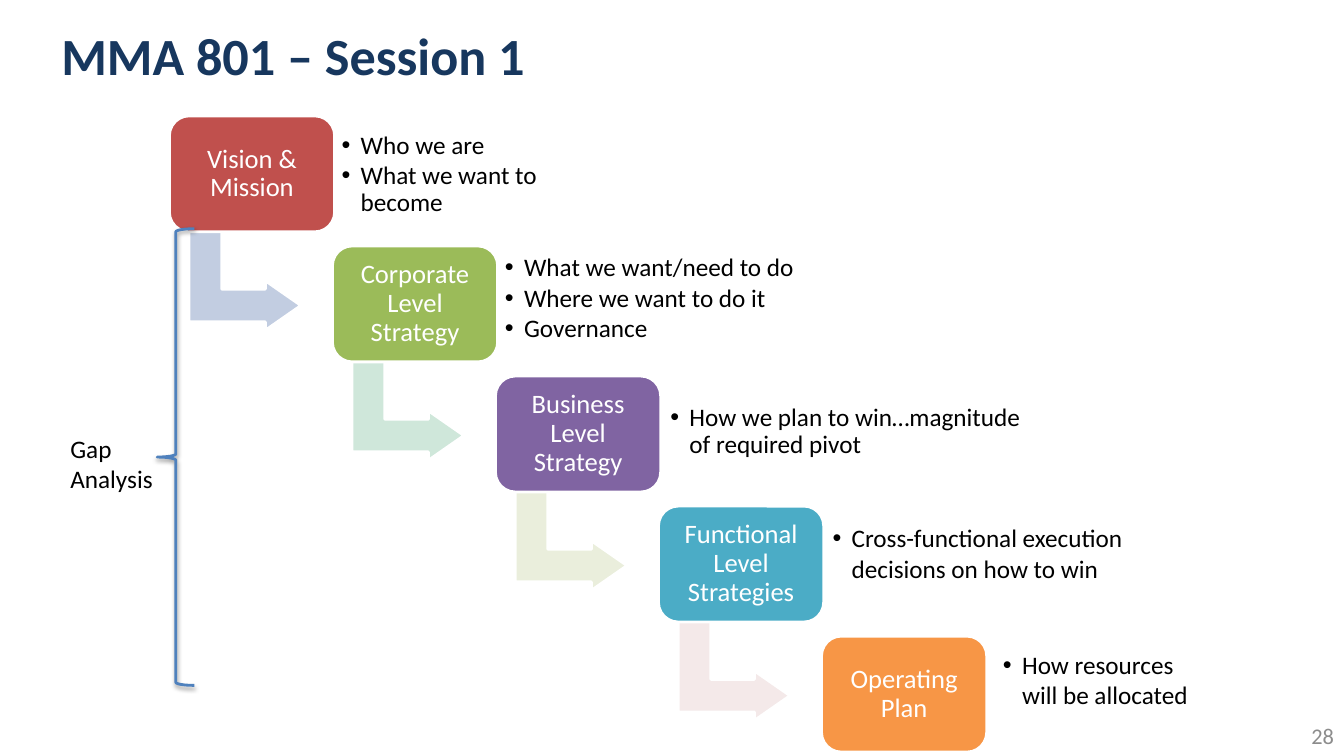
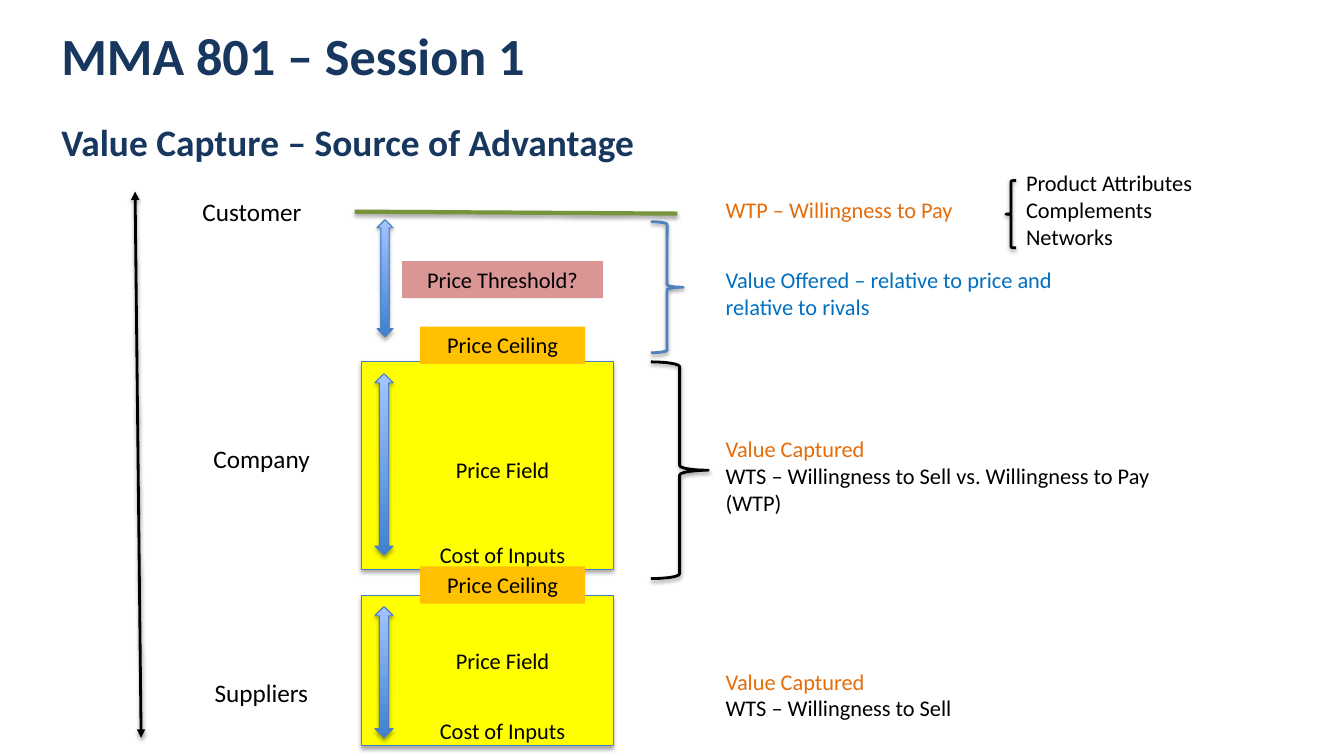
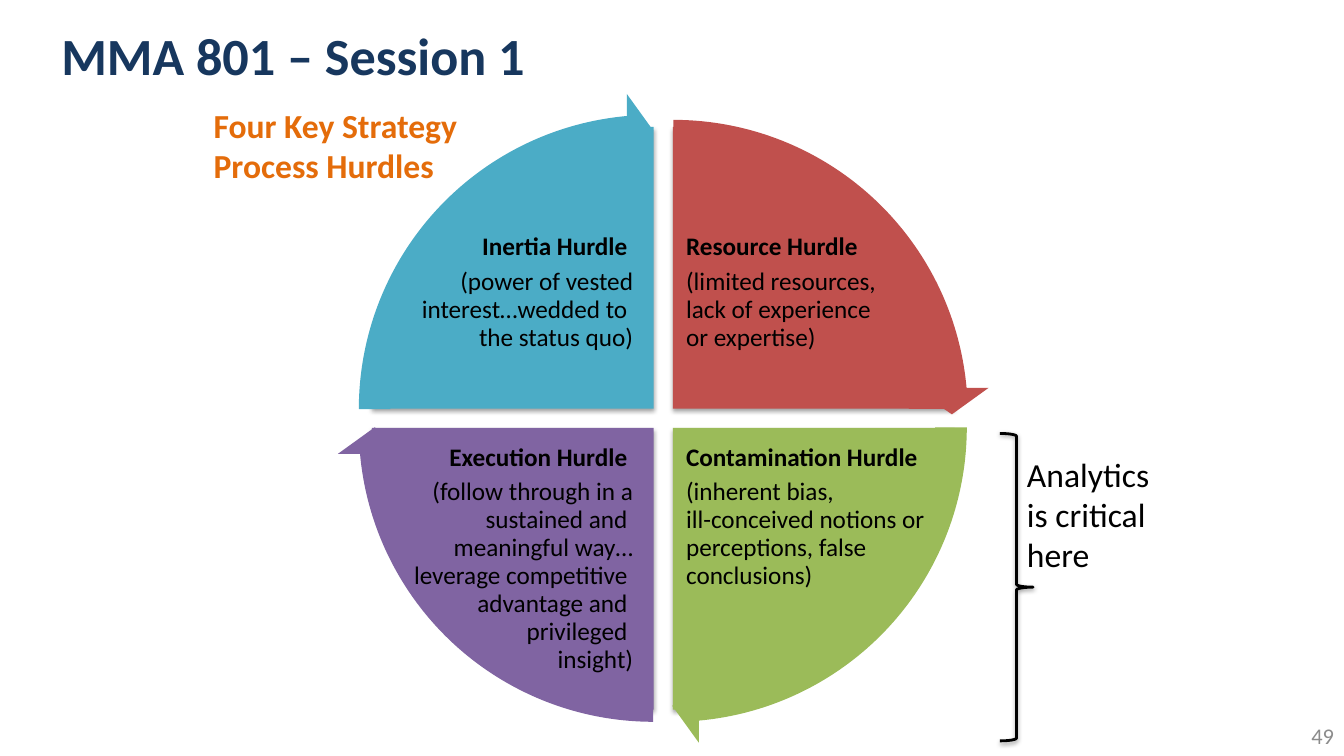
from lxml import etree
from pptx import Presentation
from pptx.dml.color import RGBColor
from pptx.enum.shapes import MSO_CONNECTOR, MSO_SHAPE
from pptx.enum.text import MSO_ANCHOR, PP_ALIGN
from pptx.oxml import parse_xml
from pptx.oxml.ns import nsdecls, qn
from pptx.util import Pt

LEFT, MID, RIGHT = PP_ALIGN.LEFT, PP_ALIGN.CENTER, PP_ALIGN.RIGHT
TOP, CENTER = MSO_ANCHOR.TOP, MSO_ANCHOR.MIDDLE
RECT, ROUND = MSO_SHAPE.RECTANGLE, MSO_SHAPE.ROUNDED_RECTANGLE
BEND, ARROW = MSO_SHAPE.BENT_UP_ARROW, MSO_SHAPE.UP_DOWN_ARROW
OPEN, CLOSE = MSO_SHAPE.LEFT_BRACE, MSO_SHAPE.RIGHT_BRACE
PIE, CURVE = MSO_SHAPE.PIE, MSO_SHAPE.CIRCULAR_ARROW
STRAIGHT = MSO_CONNECTOR.STRAIGHT

BLACK, WHITE, NAVY, GREY = "000000", "FFFFFF", "17375E", "8C8C8C"
ORANGE, BLUE, SKY, EDGE = "E46C0A", "4F81BD", "0070C0", "4B7EBC"
RED, GREEN, PURPLE, TEAL = "C0504D", "9BBB59", "8064A2", "4BACC6"
PEACH, GOLD, YELLOW, PINK = "F79646", "FFC000", "FFFF00", "D99694"
OLIVE, DEEP, PALE = "77933C", "3F80CE", "A4C4FF"
SOFT, FIRM = (35, 1.8), (38, 1.6)


def rgb(code):
    return RGBColor.from_string(code)


class Deck:
    face = "Calibri"
    title = "MMA 801 – Session 1"

    def __init__(self):
        self.file = Presentation()
        self.file.slide_width, self.file.slide_height = Pt(960), Pt(540)
        self.slide = None

    def start(self, number=None):
        self.slide = self.file.slides.add_slide(self.file.slide_layouts[6])
        self.text([self.title], 36.7, 5, 788, 67.7, size=37.3, color=NAVY,
                  bold=True, anchor=CENTER)
        if number:
            self.text([number], 744, 511, 216, 29, size=16, color=GREY,
                      align=RIGHT, anchor=CENTER)

    def fit(self, frame, rows, size=18, color=BLACK, bold=False, align=LEFT,
            anchor=TOP, inset=(7.2, 3.6), lead=None, gap=0, bullet=False):
        frame.word_wrap = True
        frame.vertical_anchor = anchor
        frame.margin_left = frame.margin_right = Pt(inset[0])
        frame.margin_top = frame.margin_bottom = Pt(inset[1])
        for i, row in enumerate(rows):
            words, style = (row, {}) if isinstance(row, str) else row
            para = frame.paragraphs[0] if i == 0 else frame.add_paragraph()
            para.text = words
            para.alignment = align
            if bullet:
                props = para._p.get_or_add_pPr()
                props.set("marL", str(Pt(13.7)))
                props.set("indent", str(Pt(-13.7)))
                etree.SubElement(props, qn("a:buFont")).set("typeface", "Arial")
                etree.SubElement(props, qn("a:buChar")).set("char", "•")
            if lead:
                para.line_spacing = lead
            if i and gap:
                para.space_before = Pt(gap)
            para.font.name = self.face
            para.font.size = Pt(size)
            para.font.bold = style.get("bold", bold)
            para.font.color.rgb = rgb(style.get("color", color))

    def text(self, rows, x, y, w, h, **style):
        box = self.slide.shapes.add_textbox(Pt(x), Pt(y), Pt(w), Pt(h))
        self.fit(box.text_frame, rows, **style)

    def shade(self, item, shadow):
        props = item._element.spPr
        effects = props.find(qn("a:effectLst"))
        if effects is None:
            effects = etree.SubElement(props, qn("a:effectLst"))
        if shadow:
            alpha, dist = shadow
            effects.append(parse_xml(
                f'<a:outerShdw {nsdecls("a")} blurRad="{Pt(3.1)}" '
                f'dist="{Pt(dist)}" dir="5400000" rotWithShape="0">'
                f'<a:srgbClr val="{BLACK}"><a:alpha val="{alpha * 1000}"/>'
                '</a:srgbClr></a:outerShdw>'))

    def shape(self, kind, x, y, w, h, fill=None, line=None, width=2,
              shadow=None, adjust=(), turn=0, rows=(), **style):
        item = self.slide.shapes.add_shape(kind, Pt(x), Pt(y), Pt(w), Pt(h))
        item.rotation = turn
        for i, value in enumerate(adjust):
            item.adjustments[i] = value
        if isinstance(fill, tuple):
            item.fill.gradient()
            item.fill.gradient_angle = 90
            for stop, code in zip(item.fill.gradient_stops, fill):
                stop.color.rgb = rgb(code)
        elif fill:
            item.fill.solid()
            item.fill.fore_color.rgb = rgb(fill)
        else:
            item.fill.background()
        if line:
            item.line.color.rgb = rgb(line)
            item.line.width = Pt(width)
        else:
            item.line.fill.background()
        item.shadow.inherit = False
        self.shade(item, shadow)
        if rows:
            self.fit(item.text_frame, rows, **style)

    def brace(self, kind, x, y, w, h, color=BLACK):
        self.shape(kind, x, y, w, h, line=color, shadow=FIRM)

    def tag(self, words, x, y, w, fill):
        self.shape(RECT, x, y, w, 26.6, fill, rows=[words], size=16, align=MID)

    def span(self, x, y, w, h):
        self.shape(ARROW, x, y, w, h, (DEEP, PALE), EDGE, 0.75, SOFT)

    def line(self, x, y, x2, y2, color, width, heads=False):
        item = self.slide.shapes.add_connector(
            STRAIGHT, Pt(x), Pt(y), Pt(x2), Pt(y2))
        item.line.color.rgb = rgb(color)
        item.line.width = Pt(width)
        if heads:
            stroke = item._element.spPr.find(qn("a:ln"))
            for end in ("a:headEnd", "a:tailEnd"):
                etree.SubElement(stroke, qn(end)).set("type", "triangle")
        self.shade(item, FIRM)


def levels(deck):
    deck.start("28")
    steps = [
        ("Vision & Mission", RED, "C2CDE1"),
        ("Corporate Level Strategy", GREEN, "CFE7DA"),
        ("Business Level Strategy", PURPLE, "EAEEDC"),
        ("Functional Level Strategies", TEAL, "F4E9E9"),
        ("Operating Plan", PEACH, None),
    ]
    for i, (name, fill, tint) in enumerate(steps):
        x, y = 121 + 116.45 * i, 82.8 + 92.9 * i
        if tint:
            deck.shape(BEND, x + 18.7, y + 77.8, 70.6, 79.9, tint, WHITE,
                       adjust=(0.33, 0.25, 0.36), turn=90)
        deck.shape(ROUND, x, y, 118, 82.8, fill, WHITE, adjust=(0.17,),
                   rows=[name], size=19, color=WHITE, align=MID,
                   anchor=CENTER, inset=(5.8, 5.8), lead=0.9)
    notes = [
        (["Who we are", "What we want to become"], 239, 91.4, 163, 0.9),
        (["What we want/need to do", "Where we want to do it", "Governance"],
         355.7, 180, 281, 0.9),
        (["How we plan to win…magnitude of required pivot"],
         473.8, 275, 271, 0.9),
        (["Cross-functional execution decisions on how to win"],
         589.7, 361.5, 238, 1),
        (["How resources will be allocated"], 711.4, 452, 149, 1),
    ]
    for rows, x, y, w, lead in notes:
        deck.text(rows, x, y, w, 67, anchor=CENTER, inset=(5, 5), lead=lead,
                  gap=2.5, bullet=True)
    deck.brace(OPEN, 112.3, 163.4, 26.6, 326.2, BLUE)
    deck.text(["Gap Analysis"], 43.2, 306, 89.3, 51)


def capture(deck):
    deck.start()
    deck.text(["Value Capture – Source of Advantage"], 36.7, 81.5, 867, 84,
              size=26.7, color=NAVY, bold=True)
    deck.line(96.5, 136.8, 100.8, 527, BLACK, 2, heads=True)
    for name, x, y in [("Customer", 137.5, 136.8), ("Company", 145.4, 313.2),
                       ("Suppliers", 146.2, 480.5)]:
        deck.text([name], x, y, 128, 29)
    deck.line(253.4, 151.2, 483.8, 152.6, OLIVE, 3)

    fields = [(258.5, 148.3, 233.3, 322.6, 267, 129.6),
              (425.5, 107.3, 404.6, 458.6, 433.4, 93.6)]
    for y, h, cap, mid, top, tall in fields:
        deck.shape(RECT, 258, y, 180, h, YELLOW, EDGE, 0.75, SOFT)
        deck.tag("Price Ceiling", 300, cap, 118, GOLD)
        for words, at in [("Price Field", mid), ("Cost of Inputs", y + h - 24)]:
            deck.text([words], 296, at, 126, 26.6, size=16, align=MID)
        deck.span(267.8, top, 13, tall)
    deck.span(269.3, 157, 11.5, 83.5)
    deck.tag("Price Threshold?", 287.3, 186.5, 143.3, PINK)

    deck.brace(CLOSE, 465, 258.5, 41, 154.8)
    deck.brace(CLOSE, 465, 158.4, 23, 93.6, BLUE)
    deck.brace(OPEN, 718.6, 128.9, 7.2, 48.2)
    head = ("Value Captured", {"color": ORANGE})
    remarks = [
        ([("WTP – Willingness to Pay", {"color": ORANGE})], 511.2, 136.8, 204),
        ([("Value Offered – relative to price and relative to rivals",
           {"color": SKY})], 511.2, 186.5, 264),
        ([head, "WTS – Willingness to Sell vs. Willingness to Pay (WTP)"],
         511.2, 307.4, 328),
        ([head, "WTS – Willingness to Sell"], 511.2, 473.4, 215),
        (["Product Attributes", "Complements", "Networks"],
         725.8, 117.4, 191),
    ]
    for rows, x, y, w in remarks:
        deck.text(rows, x, y, w, 26.6, size=16)


def hurdles(deck):
    deck.start("49")
    parts = [(GREEN, 279.4, 104.4, 254.2, 79.2),
             (PURPLE, 265.7, 104.4, 240.5, 79.2),
             (TEAL, 265.7, 90.7, 240.5, 66.2),
             (RED, 279.4, 90.7, 254.9, 69.8)]
    for i, (fill, x, y, _, _) in enumerate(parts):
        deck.shape(PIE, x, y, 402.5, 402.5, fill, shadow=SOFT,
                   adjust=(54 * i, 54 * (i + 1) % 216))
    for i, (fill, _, _, x, y) in enumerate(parts):
        deck.shape(CURVE, x, y, 452.2, 452.2, fill,
                   adjust=(0.05, 3.28, 54 * i + 50.73, 54 * i, 0.06))
    notes = [
        ("Resource Hurdle",
         "(limited resources, \nlack of experience \nor expertise)",
         483, 162.7, 165, LEFT),
        ("Contamination Hurdle",
         "(inherent bias,\nill-conceived notions or perceptions, "
         "false conclusions)", 483, 313.2, 185, LEFT),
        ("Execution Hurdle ",
         "(follow through in a sustained and \nmeaningful way…\n"
         "leverage competitive \nadvantage and \nprivileged \ninsight)",
         242.6, 313.2, 216.7, RIGHT),
        ("Inertia Hurdle ",
         "(power of vested interest…wedded to \nthe status quo)",
         264.2, 162.7, 195.1, RIGHT),
    ]
    for name, words, x, y, w, align in notes:
        deck.text([(name, {"bold": True}), words], x, y, w, 93, align=align,
                  lead=Pt(20), gap=4.5)
    deck.text(["Four Key Strategy \nProcess Hurdles"], 147.6, 60.5, 203, 86.4,
              size=24, color=ORANGE, bold=True, anchor=CENTER, inset=(5, 3))
    deck.brace(CLOSE, 714.2, 309.6, 23.8, 219.6)
    deck.text(["Analytics is critical here"], 726.5, 320.4, 108.7, 94.3,
              size=24)


def main():
    deck = Deck()
    for build in (levels, capture, hurdles):
        build(deck)
    deck.file.save("out.pptx")


if __name__ == "__main__":
    main()
